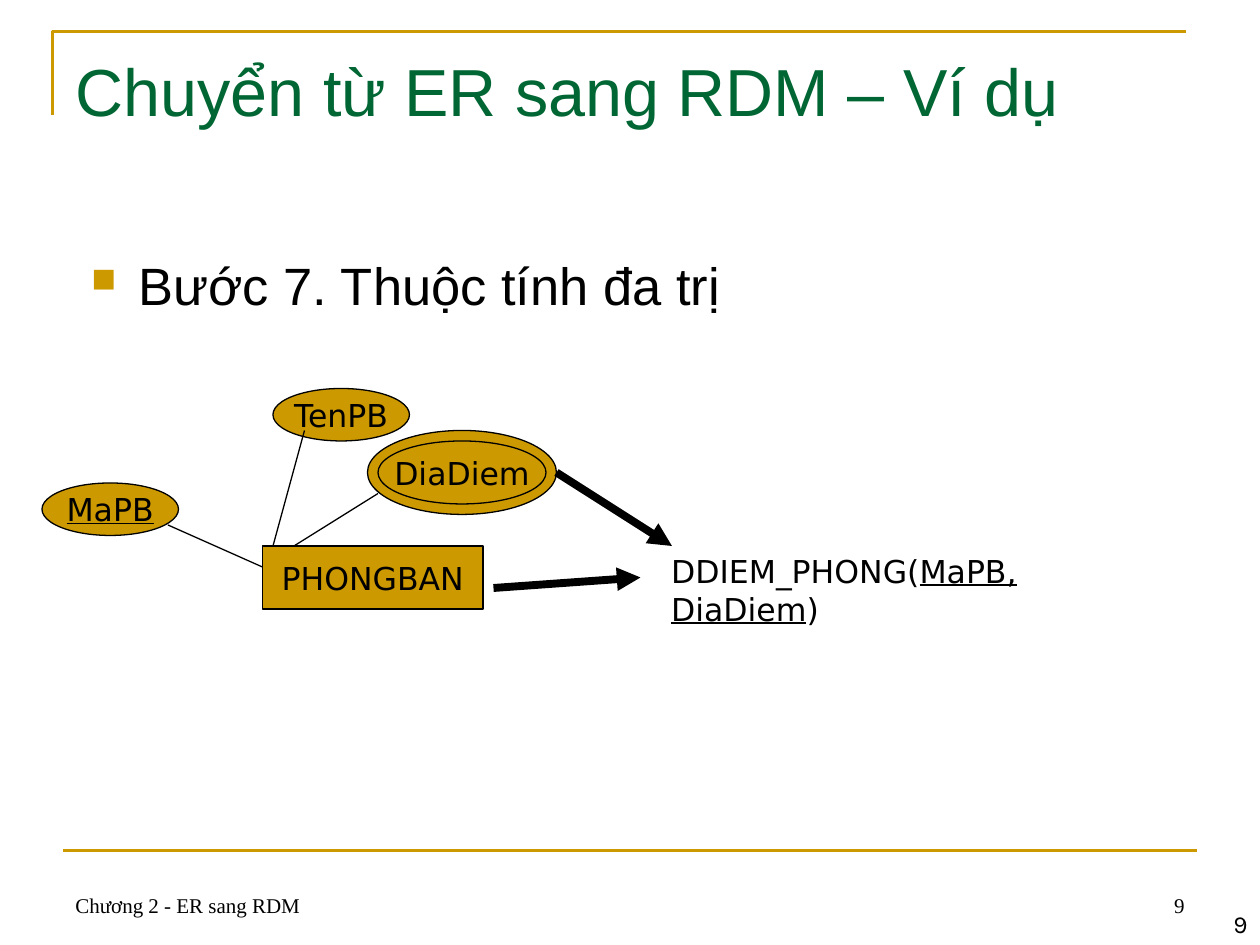
from lxml import etree
from pptx import Presentation
from pptx import util as u
from pptx.dml.color import RGBColor
from pptx.enum import shapes, text
from pptx.oxml.ns import qn

GOLD = RGBColor(0xCC, 0x99, 0x00)
GREEN = RGBColor(0x00, 0x66, 0x33)
BLACK = RGBColor(0, 0, 0)
DIAGRAM_FONT = "DejaVu Sans"
LEFT, RIGHT, CENTER = text.PP_ALIGN.LEFT, text.PP_ALIGN.RIGHT, text.PP_ALIGN.CENTER
TOP, BOTTOM = text.MSO_ANCHOR.TOP, text.MSO_ANCHOR.BOTTOM
RECTANGLE, OVAL = shapes.MSO_SHAPE.RECTANGLE, shapes.MSO_SHAPE.OVAL

# Content: all lengths in points
FRAME_CORNER = [(30, 66), (30, 18), (678, 18)]
FOOTER_RULE = (36, 486, 684, 486)

# words, box, anchor, alignment, font, size, colour
TEXTS = [
    ("Chương 2 - ER sang RDM", (36, 492, 168, 36), BOTTOM, LEFT, "Times New Roman", 12, BLACK),
    ("9", (516, 492, 168, 36), BOTTOM, RIGHT, "Times New Roman", 12, BLACK),
    ("9", (570, 504, 150, 36), BOTTOM, RIGHT, "Karla", 14, BLACK),
    ("Chuyển từ ER sang RDM – Ví dụ", (36, 21.5, 648, 56.5), BOTTOM, LEFT, "Arial", 38, GREEN),
]
STEP = ("Bước 7. Thuộc tính đa trị", (45, 141, 657, 333), TOP, LEFT, "Arial", 30, BLACK)
RELATION_BOX = (376.5, 312, 288, 50)
RELATION = [("DDIEM_PHONG(", False), ("MaPB, DiaDiem", True), (")", False)]

# preset, box, label, underlined key
NODES = [
    (RECTANGLE, (150, 312, 126, 36), "PHONGBAN", False),
    (OVAL, (24, 276, 78, 30), "MaPB", True),
    (OVAL, (156, 222, 78, 30), "TenPB", False),
    (OVAL, (210, 246, 108, 48), "", False),
    (OVAL, (216, 252, 96, 36), "DiaDiem", False),
]
ATTRIBUTE_LINES = [(150, 324, 96, 300), (156, 312, 174, 246), (168, 312, 216, 282)]
ARROWS = [(282, 336, 366, 330), (318, 270, 384, 312)]


def points(values):
    return [u.Pt(value) for value in values]


def style_font(font, name, size, color):
    font.name, font.size, font.color.rgb = name, u.Pt(size), color


def add_text(slide, words, box, anchor, alignment, font_name, size, color):
    frame = slide.shapes.add_textbox(*points(box)).text_frame
    frame.word_wrap = True
    frame.vertical_anchor = anchor
    paragraph = frame.paragraphs[0]
    paragraph.text = words
    paragraph.alignment = alignment
    for run in paragraph.runs:
        style_font(run.font, font_name, size, color)
    return paragraph


def add_bullet(paragraph):
    properties = paragraph._p.get_or_add_pPr()
    properties.set("marL", str(u.Pt(27)))
    properties.set("indent", str(-u.Pt(27)))
    color = etree.SubElement(properties, qn("a:buClr"))
    etree.SubElement(color, qn("a:srgbClr"), val=str(GOLD))
    etree.SubElement(properties, qn("a:buSzPct"), val="65000")
    etree.SubElement(properties, qn("a:buChar"), char="■")


def add_line(slide, ends, color, width, arrow=False):
    line = slide.shapes.add_connector(shapes.MSO_CONNECTOR.STRAIGHT, *points(ends))
    line.line.color.rgb = color
    line.line.width = u.Pt(width)
    if arrow:
        etree.SubElement(line.line._get_or_add_ln(), qn("a:tailEnd"), type="triangle")
    etree.SubElement(line._element.spPr, qn("a:effectLst"))


def add_node(slide, preset, box, label, is_key):
    node = slide.shapes.add_shape(preset, *points(box))
    node.shadow.inherit = False
    node.fill.solid()
    node.fill.fore_color.rgb = GOLD
    node.line.color.rgb = BLACK
    node.line.width = u.Pt(0.75)
    if label:
        frame = node.text_frame
        frame.text = label
        frame.word_wrap = False
        frame.vertical_anchor = text.MSO_ANCHOR.MIDDLE
        paragraph = frame.paragraphs[0]
        paragraph.alignment = CENTER
        font = paragraph.runs[0].font
        style_font(font, DIAGRAM_FONT, 18, BLACK)
        font.underline = is_key


def main():
    presentation = Presentation()
    presentation.slide_width, presentation.slide_height = u.Pt(720), u.Pt(540)
    slide = presentation.slides.add_slide(presentation.slide_layouts[6])

    # Corner frame and footer rule
    builder = slide.shapes.build_freeform(*FRAME_CORNER[0], scale=u.Pt(1))
    builder.add_line_segments(FRAME_CORNER[1:], close=False)
    corner = builder.convert_to_shape()
    corner.shadow.inherit = False
    corner.fill.background()
    corner.line.color.rgb = GOLD
    corner.line.width = u.Pt(1.5)
    add_line(slide, FOOTER_RULE, GOLD, 1.5)

    # Title, footer and step
    for item in TEXTS:
        add_text(slide, *item)
    add_bullet(add_text(slide, *STEP))

    # Resulting relation
    paragraph = add_text(slide, "", RELATION_BOX, TOP, LEFT, DIAGRAM_FONT, 18, BLACK)
    for words, is_key in RELATION:
        run = paragraph.add_run()
        run.text = words
        style_font(run.font, DIAGRAM_FONT, 18, BLACK)
        run.font.underline = is_key

    # Entity with its attributes
    for node in NODES:
        add_node(slide, *node)
    for ends in ATTRIBUTE_LINES:
        add_line(slide, ends, BLACK, 0.75)
    for ends in ARROWS:
        add_line(slide, ends, BLACK, 4.5, arrow=True)

    presentation.save("out.pptx")


if __name__ == "__main__":
    main()
